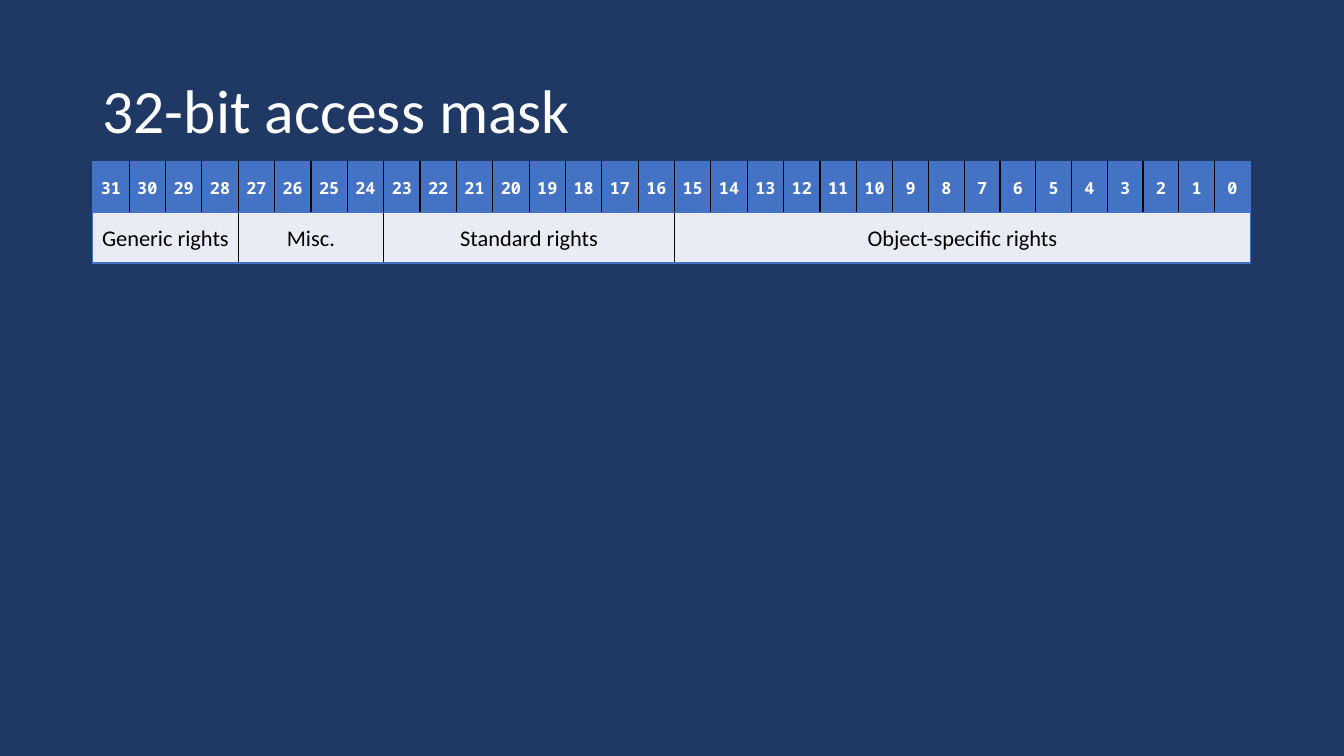
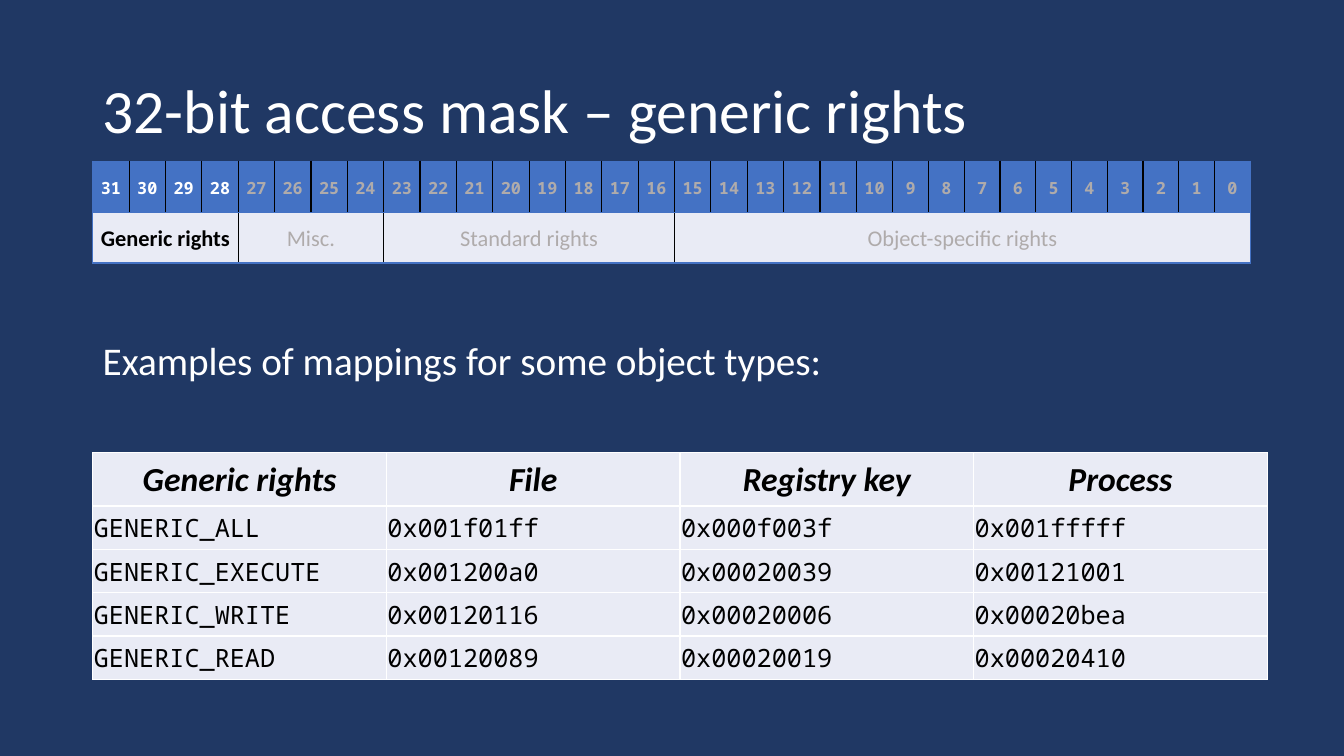
from lxml import etree
from pptx import Presentation
from pptx import util as u
from pptx.dml.color import RGBColor
from pptx.enum import text as t
from pptx.oxml import ns

HUES = {"navy": "203864", "white": "FFFFFF", "black": "000000",
        "blue": "4472C4", "pale": "E9EBF5", "gray": "AFABAB"}
LEFT, WIDE = u.Inches(0.92), u.Inches(11.5)
SANS, MONO = "Calibri", "Noto Sans Mono"
TITLE = {"name": SANS, "size": u.Pt(44), "bold": False}
BODY = {"name": SANS, "size": u.Pt(28), "bold": False}
BIT = {"name": MONO, "size": u.Pt(12), "bold": True}
GROUP = {"name": SANS, "size": u.Pt(16), "bold": False}
HEAD = {"name": SANS, "size": u.Pt(24), "bold": True, "italic": True}
CODE = {"name": MONO, "size": u.Pt(18), "bold": False}
MASK = {"margin_left": u.Inches(0.07), "margin_right": u.Inches(0.07),
        "margin_top": 0, "margin_bottom": 0,
        "vertical_anchor": t.MSO_ANCHOR.MIDDLE}
TIGHT = {"margin_left": u.Inches(0.01), "margin_right": u.Inches(0.01),
         "margin_top": u.Inches(0.01), "margin_bottom": 0,
         "vertical_anchor": t.MSO_ANCHOR.MIDDLE}
FIELDS = [("Generic rights", 4), ("Misc.", 4),
          ("Standard rights", 8), ("Object-specific rights", 16)]
RIGHTS = [
    ("Generic rights", "File", "Registry key", "Process"),
    ("GENERIC_ALL", "0x001f01ff", "0x000f003f", "0x001fffff"),
    ("GENERIC_EXECUTE", "0x001200a0", "0x00020039", "0x00121001"),
    ("GENERIC_WRITE", "0x00120116", "0x00020006", "0x00020bea"),
    ("GENERIC_READ", "0x00120089", "0x00020019", "0x00020410"),
]
SLIDES = [("32-bit access mask", False),
          ("32-bit access mask – generic rights", True)]


def write(frame, words, style, hue, para):
    line = frame.paragraphs[0]
    for key, val in para.items():
        setattr(line, key, val)
    run = line.add_run()
    run.text = words
    for key, val in style.items():
        setattr(run.font, key, val)
    run.font.color.rgb = RGBColor.from_string(HUES[hue])


def dress(cell, box, fill, edges):
    for key, val in box.items():
        setattr(cell, key, val)
    props = cell._tc.get_or_add_tcPr()
    for side, hue in zip("LRTB", edges):
        line = etree.SubElement(props, ns.qn("a:ln" + side), w=str(u.Pt(1)))
        solid = etree.SubElement(line, ns.qn("a:solidFill"))
        etree.SubElement(solid, ns.qn("a:srgbClr"), val=HUES[hue])
    cell.fill.solid()
    cell.fill.fore_color.rgb = RGBColor.from_string(HUES[fill])


deck = Presentation()
deck.slide_width, deck.slide_height = u.Inches(13.33), u.Inches(7.5)
center = {"alignment": t.PP_ALIGN.CENTER}
loose = {"alignment": t.PP_ALIGN.CENTER, "line_spacing": 1.07}

for title, focus in SLIDES:
    slide = deck.slides.add_slide(deck.slide_layouts[6])
    slide.background.fill.solid()
    slide.background.fill.fore_color.rgb = RGBColor.from_string(HUES["navy"])

    frame = slide.shapes.add_textbox(LEFT, u.Inches(0.4), WIDE, u.Inches(1.45)).text_frame
    frame.word_wrap = True
    frame.vertical_anchor = t.MSO_ANCHOR.MIDDLE
    write(frame, title, TITLE, "white", {"line_spacing": 0.9})

    if focus:
        frame = slide.shapes.add_textbox(LEFT, u.Inches(3.34), WIDE, u.Inches(3.45)).text_frame
        frame.word_wrap = True
        write(frame, "Examples of mappings for some object types:", BODY, "white",
              {"line_spacing": 0.9, "space_before": u.Pt(10)})

    mask = slide.shapes.add_table(2, 32, LEFT, u.Inches(1.6), WIDE, u.Inches(1.01)).table
    for col in range(32):
        mask.columns[col].width = u.Inches(7.94 / 22 if col < 22 else 3.55 / 10)
    start = 0
    for name, span in FIELDS:
        end = start + span
        dim = focus and start > 0
        for col in range(start, end):
            edges = ["blue" if col == 0 else "black",
                     "blue" if col == 31 else "black", "blue", "blue"]
            cell = mask.cell(0, col)
            dress(cell, MASK, "blue", edges)
            write(cell.text_frame, str(31 - col), BIT, "gray" if dim else "white", loose)
            edges = ["blue" if start == 0 else "black",
                     "blue" if end == 32 else "black", "blue", "blue"]
            dress(mask.cell(1, col), MASK, "pale", edges)
        cell = mask.cell(1, start)
        cell.merge(mask.cell(1, end - 1))
        style = {**GROUP, "bold": focus and not dim}
        write(cell.text_frame, name, style, "gray" if dim else "black", loose)
        start = end

    if focus:
        grid = slide.shapes.add_table(5, 4, LEFT, u.Inches(4.49),
                                      u.Inches(11.65), u.Inches(2.27)).table
        for col in grid.columns:
            col.width = u.Inches(11.65 / 4)
        for row, items in enumerate(RIGHTS):
            grid.rows[row].height = u.Inches(0.43 if row else 0.53)
            for col, words in enumerate(items):
                cell = grid.cell(row, col)
                dress(cell, TIGHT, "pale", ["white"] * 4)
                write(cell.text_frame, words, CODE if row else HEAD, "black",
                      {} if row else center)

deck.save("out.pptx")
